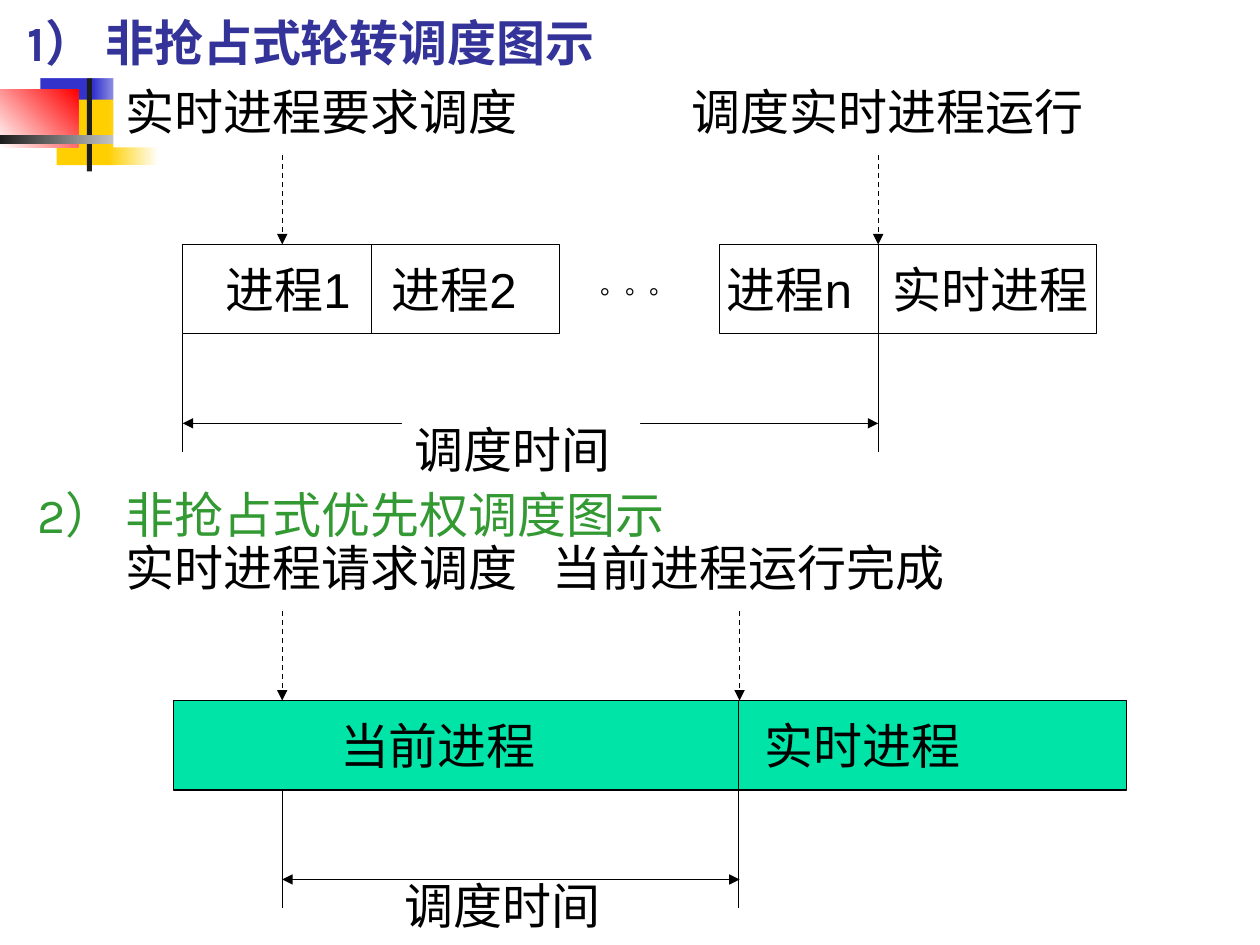
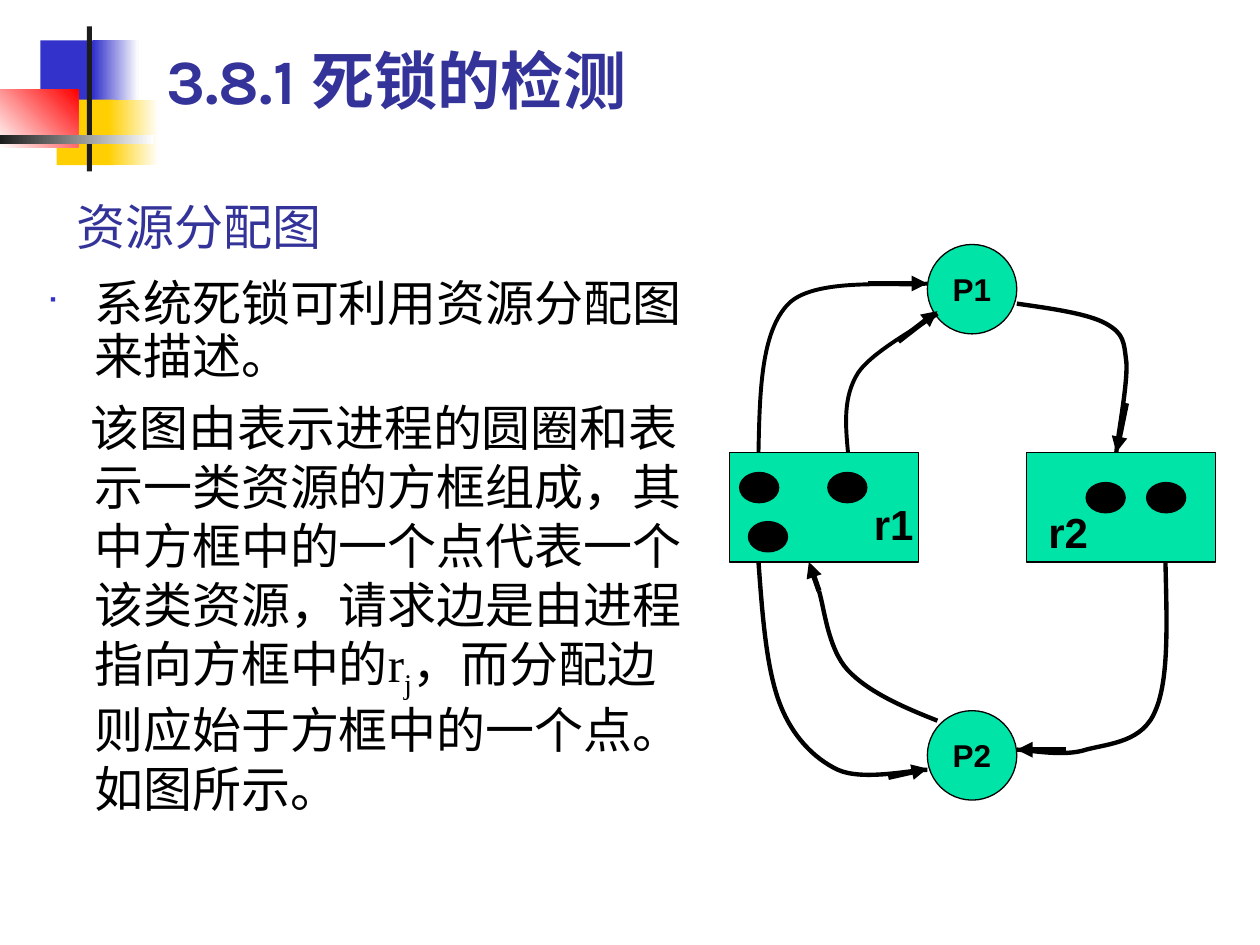
"""Build two slides: real-time scheduling diagrams and a resource allocation graph."""
from lxml import etree
from pptx import Presentation
from pptx.dml.color import RGBColor
from pptx.enum.dml import MSO_LINE
from pptx.enum.shapes import MSO_CONNECTOR, MSO_SHAPE
from pptx.enum.text import MSO_ANCHOR, MSO_AUTO_SIZE, PP_ALIGN
from pptx.oxml.ns import qn
from pptx.util import Inches, Pt

RECT, OVAL = MSO_SHAPE.RECTANGLE, MSO_SHAPE.OVAL
TOP, MID, LOW = MSO_ANCHOR.TOP, MSO_ANCHOR.MIDDLE, MSO_ANCHOR.BOTTOM
LEFT, MIDST, RIGHT = PP_ALIGN.LEFT, PP_ALIGN.CENTER, PP_ALIGN.RIGHT
STRAIGHT, DASH = MSO_CONNECTOR.STRAIGHT, MSO_LINE.DASH

WIDE, HIGH = 10, 7.5
HEX = {"ink": "000000", "white": "FFFFFF", "navy": "333399", "blue": "3333CC",
       "gold": "FFCF01", "red": "FF0000", "coal": "1C1C1C", "leaf": "339933",
       "mint": "00E4A8"}

DECOR = [
    ((0.32, 0.32, 0.48, 0.52), ["blue"], 0),
    ((0.74, 0.32, 0.36, 0.52), ["blue", "white"], 0),
    ((0.45, 0.79, 0.46, 0.52), ["gold"], 0),
    ((0.86, 0.79, 0.4, 0.52), ["gold", "white"], 0),
    ((0, 0.71, 0.62, 0.46), ["white", "red"], 45),
    ((0.69, 0.21, 0.04, 1.15), ["coal"], 0),
    ((0, 1.07, 1.22, 0.07), ["coal", "white"], 0),
]

ROWS = {"note": 0.6, "drop": 1.23, "bar": 1.94, "base": 2.65, "span": 3.36, "foot": 3.59}
BAR = ROWS["base"] - ROWS["bar"]
PANELS = [
    {"shift": 0, "fill": "white", "back": "white",
     "bars": [(1.45, 2.99, "进程1", "进程2", 15.6), (5.71, 2.99, "进程n", "实时进程", 15.6)],
     "posts": [(2.95, "bar", "base"), (6.97, "bar", "foot"), (1.45, "base", "foot")],
     "span": (1.45, 6.97), "drops": (2.24, 6.97),
     "notes": [("实时进程要求调度", 0.9), ("调度实时进程运行", 5.39)],
     "time": ("调度时间", 3.19)},
    {"shift": 3.62, "fill": "mint", "back": None,
     "bars": [(1.38, 7.56, "当前进程", "实时进程", 124.5)],
     "posts": [(2.24, "base", "foot"), (5.86, "bar", "foot")],
     "span": (2.24, 5.87), "drops": (2.24, 5.87),
     "notes": [("实时进程请求调度", 0.9), ("当前进程运行完成", 4.29)],
     "time": ("调度时间", 3.11)},
]

BODY = [
    [("系统死锁可利用资源分配图来描述。", False)],
    [("该图由表示进程的圆圈和表示一类资源的方框组成，其中方框中的一个点代表一个该类资源，"
      "请求边是由进程指向方框中的r", False), ("j", True),
     ("，而分配边则应始于方框中的一个点。如图所示。", False)],
]
BOXES = [("r1", 5.79, RIGHT, 0.04, 0.1), ("r2", 8.15, LEFT, 0.17, 0.04)]
NODES = [("P2", 5.64), ("P1", 1.94)]
DOTS = [(5.87, 3.75), (6.57, 3.75), (5.94, 4.14), (8.62, 3.83), (9.1, 3.83)]
EDGES = [
    (2.5, [(7.44, 5.72), (7.16, 5.61), (6.89, 5.49), (6.73, 5.32),
           (6.57, 5.15), (6.54, 4.81), (6.5, 4.69)], (6.5, 4.69, 6.42, 4.46)),
    (2.25, [(6.02, 3.59), (6.03, 3.11), (6.04, 2.63), (6.26, 2.41),
            (6.48, 2.19), (7.18, 2.28), (7.36, 2.25)], (6.89, 2.25, 7.36, 2.25)),
    (2.25, [(6.73, 3.59), (6.71, 3.37), (6.69, 3.15), (6.81, 2.96),
            (6.93, 2.78), (7.34, 2.57), (7.44, 2.49)], (7.13, 2.71, 7.44, 2.47)),
    (2.5, [(8.07, 2.41), (8.35, 2.45), (8.64, 2.49), (8.78, 2.57), (8.92, 2.65),
           (8.92, 2.71), (8.94, 2.88), (8.95, 3.05), (8.87, 3.47), (8.86, 3.59)],
     (8.94, 3.2, 8.86, 3.59)),
    (2.5, [(9.25, 4.46), (9.26, 4.92), (9.28, 5.39), (9.17, 5.64), (9.07, 5.89),
           (8.81, 5.9), (8.62, 5.95), (8.44, 6.01), (8.16, 5.95), (8.07, 5.95)],
     (8.46, 5.95, 8.07, 5.95)),
    (2.5, [(6.02, 4.46), (6.05, 4.87), (6.08, 5.28), (6.18, 5.56), (6.28, 5.84),
           (6.46, 6.02), (6.65, 6.11), (6.85, 6.2), (7.24, 6.11), (7.36, 6.11)],
     (7.05, 6.17, 7.36, 6.1)),
]


def rgb(name):
    return RGBColor.from_string(HEX[name])


def inch(vals):
    return [Inches(v) for v in vals]


def solid(shape, name):
    shape.fill.solid()
    shape.fill.fore_color.rgb = rgb(name)


def font(run, size, face, ink="ink", bold=False):
    run.font.size, run.font.name, run.font.bold = Pt(size), face, bold
    run.font.color.rgb = rgb(ink)


def write(shape, text, size, face="Arial", ink="ink", bold=False,
          align=LEFT, anchor=TOP, wrap=True):
    frame = shape.text_frame
    frame.text = text
    frame.auto_size, frame.word_wrap = MSO_AUTO_SIZE.NONE, wrap
    frame.vertical_anchor = anchor
    para = frame.paragraphs[0]
    para.alignment = align
    font(para.runs[0], size, face, ink, bold)
    return para


def label(slide, text, box, size, back=None, **style):
    shape = slide.shapes.add_textbox(*inch(box))
    if back:
        solid(shape, back)
    return write(shape, text, size, **style)


def block(slide, kind, box, fill, edge=True):
    shape = slide.shapes.add_shape(kind, *inch(box))
    shape.shadow.inherit = False
    solid(shape, fill)
    if edge:
        shape.line.color.rgb, shape.line.width = rgb("ink"), Pt(0.75)
    else:
        shape.line.fill.background()
    return shape


def stroke(slide, ends, width=0.75, tips=(), dash=False):
    wire = slide.shapes.add_connector(STRAIGHT, *inch(ends))
    wire.line.color.rgb, wire.line.width = rgb("ink"), Pt(width)
    if dash:
        wire.line.dash_style = DASH
    for tip in tips:
        etree.SubElement(wire.line._get_or_add_ln(), qn("a:" + tip), type="triangle")
    etree.SubElement(wire._element.spPr, qn("a:effectLst"))


def curve(slide, width, pts):
    pen = slide.shapes.build_freeform(*inch(pts[0]))
    pen.add_line_segments([inch(p) for p in pts[1:]], close=False)
    shape = pen.convert_to_shape()
    shape.shadow.inherit = False
    shape.fill.background()
    shape.line.color.rgb, shape.line.width = rgb("ink"), Pt(width)
    parts = list(shape._element.iter(qn("a:lnTo")))
    track = parts[0].getparent()
    for k in range(0, len(parts), 3):
        bend = etree.SubElement(track, qn("a:cubicBezTo"))
        for part in parts[k:k + 3]:
            bend.append(part[0])
            track.remove(part)


def decor(slide, layout):
    for box, tones, angle in DECOR:
        shape = block(slide, RECT, box, tones[0], edge=False)
        if len(tones) == 2:
            shape.fill.gradient()
            shape.fill.gradient_angle = angle
            for stop, tone, place in zip(shape.fill.gradient_stops, tones, (0, 1)):
                stop.color.rgb, stop.position = rgb(tone), place
        layout.shapes._spTree.append(shape._element)


def head(slide, text, box, bold):
    title = slide.shapes.title
    title.left, title.top, title.width, title.height = inch(box)
    solid(title, "white")
    write(title, text, 28, "Karla", "navy", bold, anchor=LOW)


def pair(shape, one, two, gap):
    para = write(shape, one, 28, align=MIDST, anchor=MID, wrap=False)
    for text in (" ", two):
        run = para.add_run()
        run.text = text
        font(run, 28, "Arial")
    para.runs[1].font._element.set("spc", str(int(gap * 100)))


def panel(slide, part):
    y = {name: row + part["shift"] for name, row in ROWS.items()}
    for x, w, one, two, gap in part["bars"]:
        pair(block(slide, RECT, (x, y["bar"], w, BAR), part["fill"]), one, two, gap)
    for x, top, end in part["posts"]:
        stroke(slide, (x, y[top], x, y[end]))
    start, stop = part["span"]
    stroke(slide, (start, y["span"], stop, y["span"]), tips=("headEnd", "tailEnd"))
    for x in part["drops"]:
        stroke(slide, (x, y["drop"], x, y["bar"]), tips=("tailEnd",), dash=True)
    for text, x in part["notes"]:
        label(slide, text, (x, y["note"], 3.39, 0.57), 28, part["back"])
    text, x = part["time"]
    label(slide, text, (x, y["span"] - 0.08, 1.89, 0.57), 28, part["back"])


def bullet(para):
    props = para._p.get_or_add_pPr()
    tint = etree.SubElement(props, qn("a:buClr"))
    etree.SubElement(tint, qn("a:srgbClr"), val=HEX["blue"])
    etree.SubElement(props, qn("a:buSzPct"), val="60000")
    etree.SubElement(props, qn("a:buFont"), typeface="Wingdings")
    etree.SubElement(props, qn("a:buChar"), char="■")


def body(slide):
    frame = slide.shapes.add_textbox(*inch((0.27, 2.17, 5.35, 4.5))).text_frame
    frame.word_wrap = True
    for k, parts in enumerate(BODY):
        para = frame.add_paragraph() if k else frame.paragraphs[0]
        props = para._p.get_or_add_pPr()
        props.set("marL", str(Inches(0.38)))
        if k:
            para.space_before = Pt(7)
            props.set("indent", str(Inches(-0.03)))
        else:
            para.line_spacing = 0.9
            props.set("indent", str(Inches(-0.38)))
            bullet(para)
        for text, sub in parts:
            run = para.add_run()
            run.text = text
            font(run, 28, "Times New Roman")
            if sub:
                run.font._element.set("baseline", "-25000")


def graph(slide):
    for name, x, align, side, base in BOXES:
        box = block(slide, RECT, (x, 3.59, 1.5, 0.87), "mint")
        write(box, name, 24, bold=True, align=align, anchor=LOW)
        frame = box.text_frame
        frame.margin_left = frame.margin_right = Inches(side)
        frame.margin_bottom = Inches(base)
    for name, y in NODES:
        node = block(slide, OVAL, (7.36, y, 0.71, 0.71), "mint")
        write(node, name, 18, bold=True, align=MIDST, anchor=MID, wrap=False)
    for x, y in DOTS:
        block(slide, OVAL, (x, y, 0.31, 0.24), "ink")
    for width, pts, tip in EDGES:
        curve(slide, width, pts)
        stroke(slide, tip, 3, ("tailEnd",))


def main():
    deck = Presentation()
    deck.slide_width, deck.slide_height = inch((WIDE, HIGH))
    layout = deck.slide_layouts[5]
    first, second = [deck.slides.add_slide(layout) for _ in range(2)]
    decor(first, layout)

    head(first, "1） 非抢占式轮转调度图示", (0.12, 0, 8.52, 0.62), True)
    panel(first, PANELS[0])
    dots = label(first, "。。。", (4.67, 2.14, 0.78, 0.29), 14, "white",
                 face="Karla", wrap=False)
    dots.line_spacing = 0.8
    label(first, "2） 非抢占式优先权调度图示", (0.2, 3.82, 8.52, 0.54), 28,
          face="Karla", ink="leaf", anchor=LOW)
    panel(first, PANELS[1])

    head(second, "资源分配图", (0.51, 1.46, 3.39, 0.62), False)
    body(second)
    label(second, "3.8.1 死锁的检测", (1.22, 0.28, 8.52, 0.7), 36,
          face="Karla", ink="navy", bold=True, anchor=LOW)
    graph(second)
    deck.save("out.pptx")


if __name__ == "__main__":
    main()
